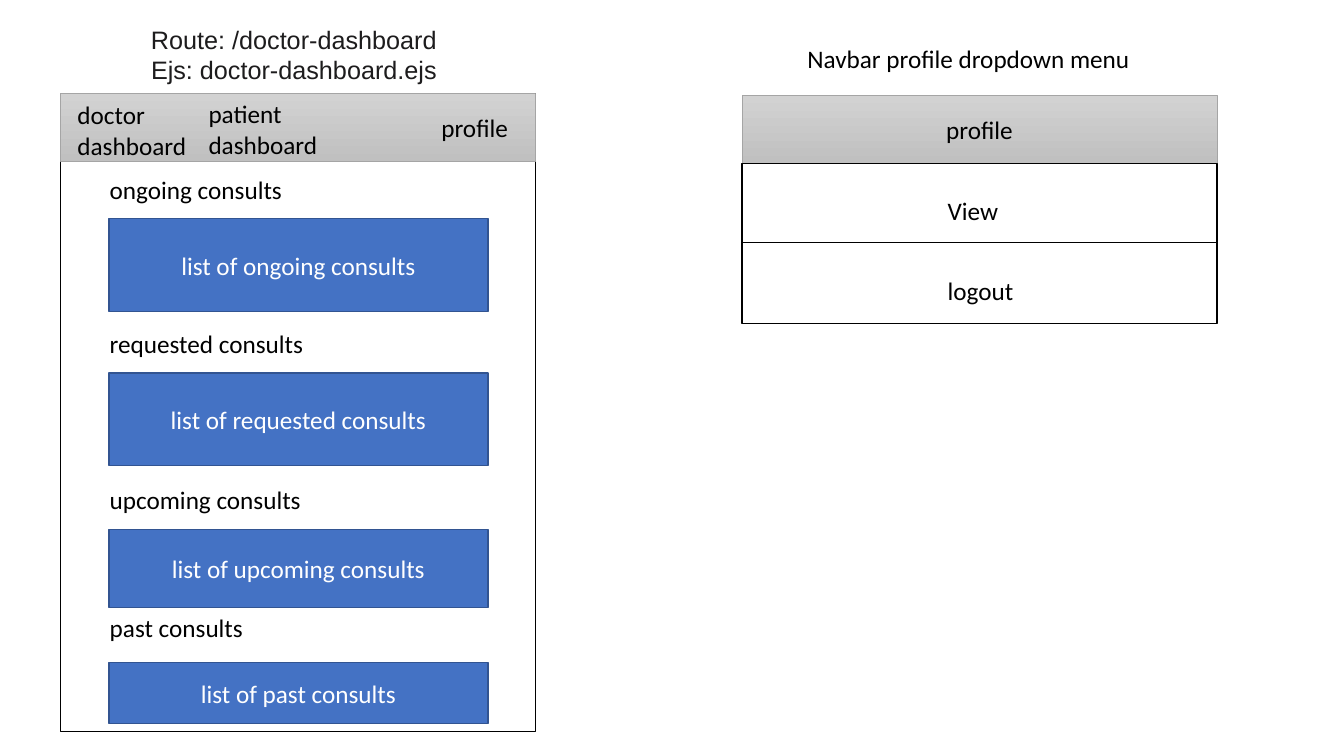
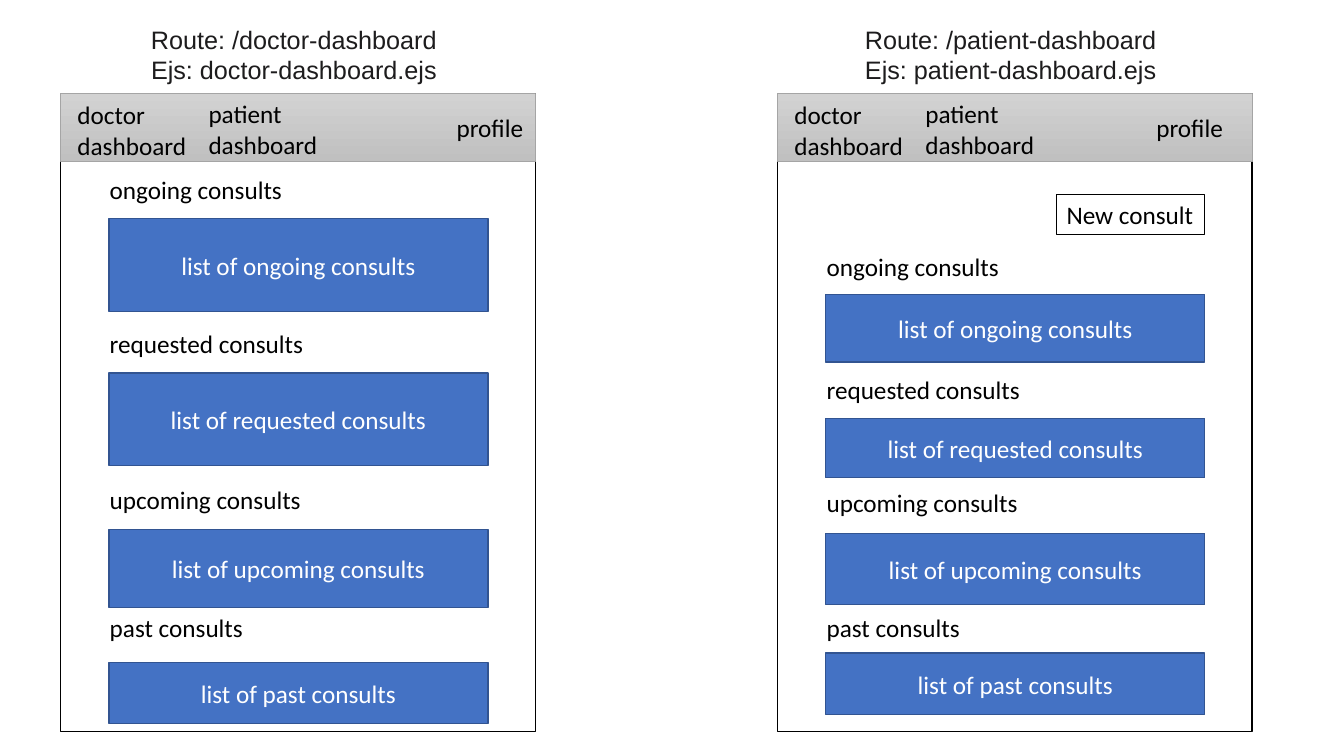
from pptx import Presentation
from pptx.dml.color import RGBColor
from pptx.enum.shapes import MSO_CONNECTOR as Conn, MSO_SHAPE as Shape
from pptx.enum.text import MSO_ANCHOR as Anchor, MSO_AUTO_SIZE as Fit, PP_ALIGN as Align
from pptx.oxml.ns import qn
from pptx.util import Inches, Pt
from lxml import etree

HUES = {
    "ink": "000000", "head": "1D1C1D", "paper": "FFFFFF",
    "list": "4472C4", "edge": "325491",
    "light": "D2D2D2", "dark": "C0C0C0", "rim": "A5A5A5",
}
LABEL = {"name": "Calibri", "size": Pt(18)}
HEAD = {"name": "Arial", "size": Pt(18)}
FRAME = {"word_wrap": True, "auto_size": Fit.NONE}
WIDE, TALL, BAR = 4.71, 6.33, 0.67
LINE, PAIR = 0.4, 0.71
NAMES = ("ongoing", "requested", "upcoming", "past")

# Label top, list top and list height, measured from the top of the panel
DOCTOR = ((0.75, 1.24, 0.92), (2.28, 2.77, 0.92), (3.83, 4.32, 0.78), (5.1, 5.64, 0.61))
PATIENT = ((1.51, 1.99, 0.67), (2.73, 3.22, 0.59), (3.86, 4.36, 0.71), (5.1, 5.55, 0.61))


def hue(name):
    return RGBColor.from_string(HUES[name])


def assign(item, values):
    for key, value in values.items():
        setattr(item, key, value)


def write(shape, text, color="ink", font=LABEL, align=Align.LEFT, anchor=Anchor.TOP):
    frame = shape.text_frame
    frame.text = text
    assign(frame, {**FRAME, "vertical_anchor": anchor})
    for para in frame.paragraphs:
        para.alignment = align
        for run in para.runs:
            assign(run.font, font)
            run.font.color.rgb = hue(color)


def label(on, text, x, y, w, h=LINE):
    box = on.add_textbox(*map(Inches, (x, y, w, h)))
    write(box, text)


def rect(on, x, y, w, h, fill=None, line="ink", width=1):
    box = on.add_shape(Shape.RECTANGLE, *map(Inches, (x, y, w, h)))
    box.shadow.inherit = False
    if fill:
        box.fill.solid()
        box.fill.fore_color.rgb = hue(fill)
    else:
        box.fill.background()
    box.line.color.rgb = hue(line)
    box.line.width = Pt(width)
    return box


def bar(on, x, y):
    """Grey gradient strip across the top of a panel."""
    strip = rect(on, x, y, WIDE, BAR, line="rim", width=0.5)
    strip.fill.gradient()
    strip.fill.gradient_angle = 270
    for stop, (name, pos) in zip(strip.fill.gradient_stops, (("light", 0), ("dark", 1))):
        stop.color.rgb = hue(name)
        stop.position = pos
    return strip


def navbar(slide, x, y, inset):
    on = slide.shapes.add_group_shape().shapes
    bar(on, x, y)
    label(on, "profile", x + inset, y + 0.14, WIDE - inset)
    label(on, "doctor\vdashboard", x + 0.07, y + 0.01, 1.37, PAIR)
    label(on, "patient\vdashboard", x + 1.37, y, 1.37, PAIR)


def caption(box, role, x, y):
    """Route and template names above a panel."""
    assign(box, dict(zip(("left", "top", "width", "height"),
                         map(Inches, (x + 0.75, y - 0.74, 3.13, PAIR)))))
    write(box, f"Route: /{role}-dashboard\nEjs: {role}-dashboard.ejs",
          "head", HEAD, Align.CENTER)


def panel(slide, x, y, rows, inset):
    on = slide.shapes
    rect(on, x, y, WIDE, TALL)
    for name, (top, start, high) in zip(NAMES, rows):
        label(on, f"{name} consults", x + 0.39, y + top, 3.86)
        box = rect(on, x + 0.48, y + start, 3.76, high, "list", "edge")
        write(box, f"list of {name} consults", "paper",
              align=Align.CENTER, anchor=Anchor.MIDDLE)
    navbar(slide, x, y, inset)


def doctor(slide, inset):
    x, y = 0.6, 0.93
    caption(slide.shapes.title, "doctor", x, y)
    panel(slide, x, y, DOCTOR, inset)


def patient(slide):
    x, y = 7.71, 0.93
    caption(slide.shapes.add_textbox(0, 0, 0, 0), "patient", x, y)
    panel(slide, x, y, PATIENT, 3.66)
    write(rect(slide.shapes, x + 2.77, y + 1, 1.47, LINE, "paper"), "New consult")


def menu(slide, x, y):
    on, high = slide.shapes, 1.59
    label(on, "Navbar profile dropdown menu", x + 0.55, y - 0.57, 3.61)
    write(bar(on, x, y), "profile", align=Align.CENTER, anchor=Anchor.MIDDLE)
    top = y + BAR
    rect(on, x, top, WIDE, high)
    for i, text in enumerate(("View", "logout")):
        label(on, text, x + 1.94, top + 0.27 + i * 0.79, 0.9)
    mid = top + 0.78
    rule = on.add_connector(Conn.STRAIGHT, *map(Inches, (x, mid, x + WIDE, mid)))
    rule.line.color.rgb = hue("ink")
    rule.line.width = Pt(0.5)
    etree.SubElement(rule._element.spPr, qn("a:effectLst"))


def main():
    deck = Presentation()
    deck.slide_width, deck.slide_height = Inches(13.33), Inches(7.5)
    first, second = (deck.slides.add_slide(deck.slide_layouts[5]) for _ in range(2))
    doctor(first, 3.68)
    menu(first, 7.36, 0.95)
    doctor(second, 3.83)
    patient(second)
    deck.save("out.pptx")


if __name__ == "__main__":
    main()
